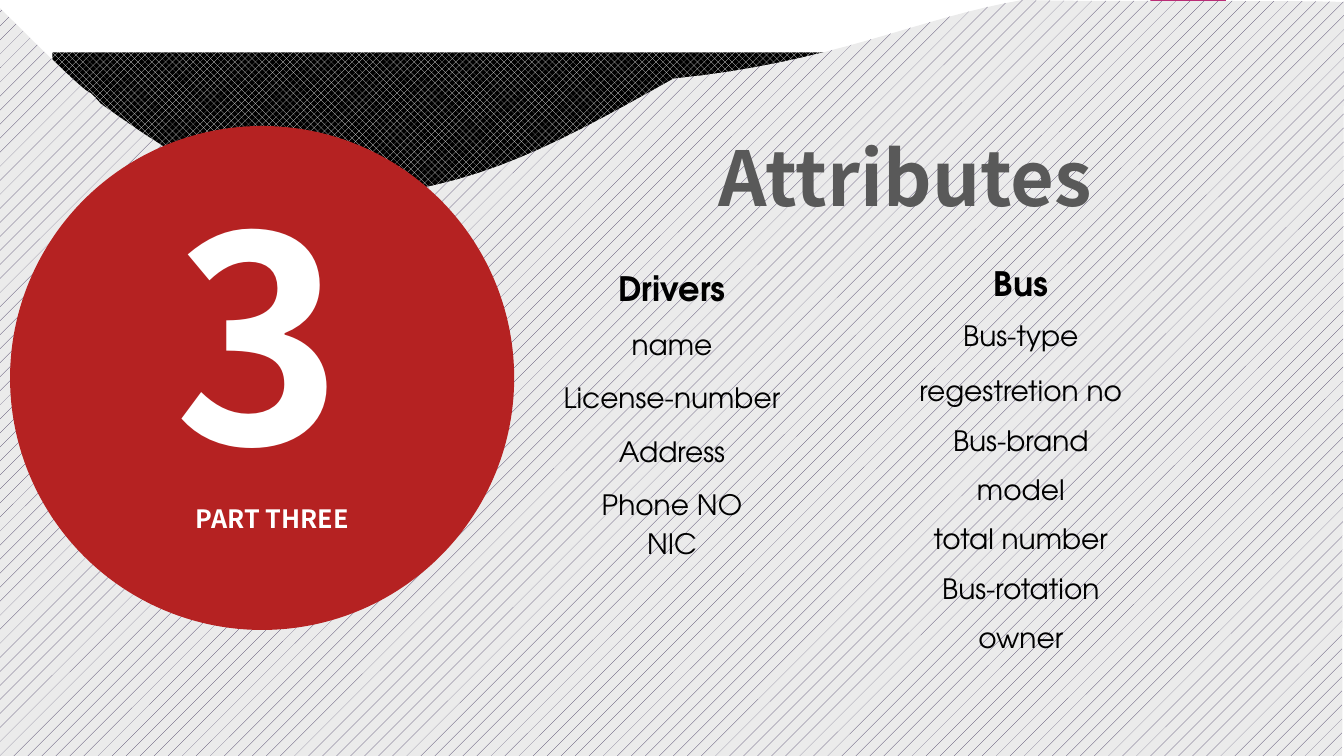
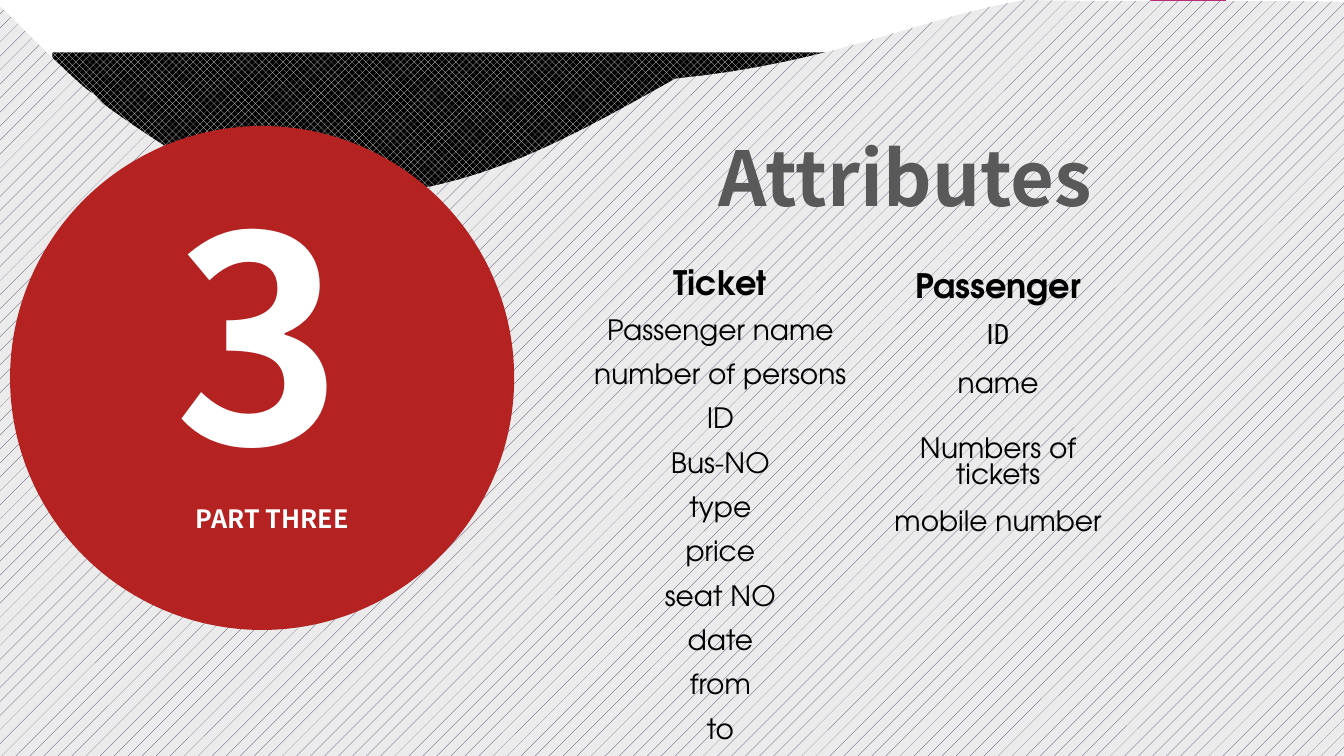
from pptx import Presentation
from pptx.dml.color import RGBColor
from pptx.enum.dml import MSO_PATTERN
from pptx.enum.shapes import MSO_SHAPE
from pptx.enum.text import MSO_ANCHOR, MSO_AUTO_SIZE, PP_ALIGN
from pptx.util import Inches, Pt

COLORS = {
    "paper": "EBEBEB",
    "black": "000000",
    "white": "FFFFFF",
    "hatch": "3B3059",
    "tab": "B31166",
    "badge": "B52222",
    "title": "595959",
}
TITLE_FONT = "Noto Sans CJK SC"
LIST_FONT = "TeX Gyre Adventor"
ID_FONT = "Roboto Condensed"
PLAIN_TABLE_STYLE = "{2D5ABB26-0587-4C30-8999-92F81FD0307C}"

SLIDE_W, SLIDE_H = 13.33, 7.5
FRAME_WIDTH = 0.52

# Upper edge of the hatched sheet: cubic curves (control, control, end)
SHEET_START = (0, 0.06)
SHEET_CURVES = [
    ((1.24, 1.3), (0.74, 0.72), (1.02, 1.03)),
    ((1.97, 1.71), (2.28, 1.84), (3.11, 1.97)),
    ((4.58, 1.96), (5.4, 1.51), (6.7, 0.78)),
    ((8.3, 0.62), (9.11, 0.18), (10.16, 0)),
    ((10.87, 0.02), (12.84, 0), (13.35, 0.02)),
]
SHEET_BOTTOM = 8.41
CURVE_STEPS = 16

# One entry per slide: shift of the sheet, then its attribute lists.
# Items are (text, row height) with an optional font.
SLIDES = [
    (-0.02, [
        dict(at=(5.49, 2.46), width=2.35, heading=("Drivers", 0.59),
             items=[("name", 0.53), ("License-number", 0.53), ("Address", 0.53),
                    ("Phone NO", 0.53), ("NIC", 0.39)]),
        dict(at=(8.73, 2.46), width=2.79, heading=("Bus", 0.54),
             items=[("Bus-type", 0.49), ("regestretion no", 0.55)]
             + [(text, 0.49) for text in
                ("Bus-brand", "model", "total number", "Bus-rotation", "owner")]),
    ]),
    (0, [
        dict(at=(8.66, 2.5), width=2.48, heading=("Passenger", 0.52),
             items=[("ID", 0.47, ID_FONT), ("name", 0.47),
                    ("Numbers of tickets", 0.9), ("mobile number", 0.47)]),
        dict(at=(5.86, 2.5), width=2.57, heading=("Ticket", 0.49),
             items=[(text, 0.44) for text in
                    ("Passenger name", "number of persons", "ID", "Bus-NO", "type",
                     "price", "seat NO", "date", "from", "to")]),
    ]),
]


def rgb(name):
    return RGBColor.from_string(COLORS[name])


def set_pattern(fill, pattern, fore, back):
    fill.patterned()
    fill.pattern = pattern
    fill.fore_color.rgb = rgb(fore)
    fill.back_color.rgb = rgb(back)


def add_run(paragraph, text, size, font, color, bold):
    run = paragraph.add_run()
    run.text = text
    run.font.size = Pt(size)
    run.font.name = font
    run.font.bold = bold
    run.font.color.rgb = rgb(color)


def add_solid(slide, preset, box, color):
    solid = slide.shapes.add_shape(preset, *map(Inches, box))
    solid.shadow.inherit = False
    solid.fill.solid()
    solid.fill.fore_color.rgb = rgb(color)
    solid.line.fill.background()
    return solid


def add_label(slide, box, text, size, color, align=PP_ALIGN.CENTER, wrap=False):
    frame = slide.shapes.add_textbox(*map(Inches, box)).text_frame
    frame.word_wrap = wrap
    frame.auto_size = MSO_AUTO_SIZE.SHAPE_TO_FIT_TEXT
    paragraph = frame.paragraphs[0]
    paragraph.alignment = align
    add_run(paragraph, text, size, TITLE_FONT, color, True)


def sheet_edge():
    """Points along the upper edge of the sheet, after its start."""
    points, start = [], SHEET_START
    for first, second, end in SHEET_CURVES:
        for step in range(1, CURVE_STEPS + 1):
            t = step / CURVE_STEPS
            u = 1 - t
            points.append(tuple(
                u**3 * a + 3 * u**2 * t * b + 3 * u * t**2 * c + t**3 * d
                for a, b, c, d in zip(start, first, second, end)))
        start = end
    return points


def add_sheet(slide, shift):
    outline = sheet_edge() + [(SLIDE_W, SHEET_BOTTOM), (0, SHEET_BOTTOM)]
    points = [(Inches(x + shift), Inches(y)) for x, y in [SHEET_START] + outline]
    builder = slide.shapes.build_freeform(*points[0])
    builder.add_line_segments(points[1:], close=True)
    sheet = builder.convert_to_shape()
    sheet.shadow.inherit = False
    set_pattern(sheet.fill, MSO_PATTERN.PERCENT_5, "hatch", "paper")
    sheet.line.fill.background()


def fill_cell(cell, text, size, font, bold):
    cell.fill.background()
    cell.vertical_anchor = MSO_ANCHOR.BOTTOM
    cell.margin_left = cell.margin_right = cell.margin_top = Inches(0.01)
    cell.margin_bottom = 0
    paragraph = cell.text_frame.paragraphs[0]
    paragraph.alignment = PP_ALIGN.CENTER
    if not bold:
        paragraph.line_spacing = Pt(18.6)
    add_run(paragraph, text, size, font, "black", bold)


def add_attribute_list(slide, at, width, heading, items):
    rows = [heading] + items
    height = sum(row[1] for row in rows)
    table = slide.shapes.add_table(
        len(rows), 1, *map(Inches, (*at, width, height))).table
    table.first_row = table.horz_banding = False
    table._tbl.tblPr.find("{*}tableStyleId").text = PLAIN_TABLE_STYLE
    for index, (text, row_height, *font) in enumerate(rows):
        table.rows[index].height = Inches(row_height)
        is_heading = index == 0
        fill_cell(table.cell(index, 0), text, 24 if is_heading else 20,
                  font[0] if font else LIST_FONT, is_heading)


def add_chapter_design(slide, shift):
    # White frame, tab and hatched sheet
    frame = add_solid(slide, MSO_SHAPE.FRAME, (0, 0, SLIDE_W, SLIDE_H), "white")
    frame.adjustments[0] = FRAME_WIDTH / SLIDE_H
    add_solid(slide, MSO_SHAPE.RECTANGLE, (11.41, 0, 0.75, 1.25), "tab")
    add_sheet(slide, shift)

    # Chapter badge and title
    add_solid(slide, MSO_SHAPE.OVAL, (0.1, 1.25, 5, 5), "badge")
    add_label(slide, (1.63, 1.53, 1.97, 3.53), "3", 204, "white", PP_ALIGN.LEFT)
    add_label(slide, (6.13, 1.25, 5.7, 1.01), "Attributes", 54, "title", wrap=True)
    add_label(slide, (1.81, 4.94, 1.78, 0.4), "PART THREE", 18, "white")


def main():
    prs = Presentation()
    prs.slide_width, prs.slide_height = Inches(SLIDE_W), Inches(SLIDE_H)
    set_pattern(prs.slide_master.background.fill, MSO_PATTERN.PERCENT_50,
                "paper", "black")
    for shift, attribute_lists in SLIDES:
        slide = prs.slides.add_slide(prs.slide_layouts[6])
        add_chapter_design(slide, shift)
        for attribute_list in attribute_lists:
            add_attribute_list(slide, **attribute_list)
    prs.save("out.pptx")


if __name__ == "__main__":
    main()
